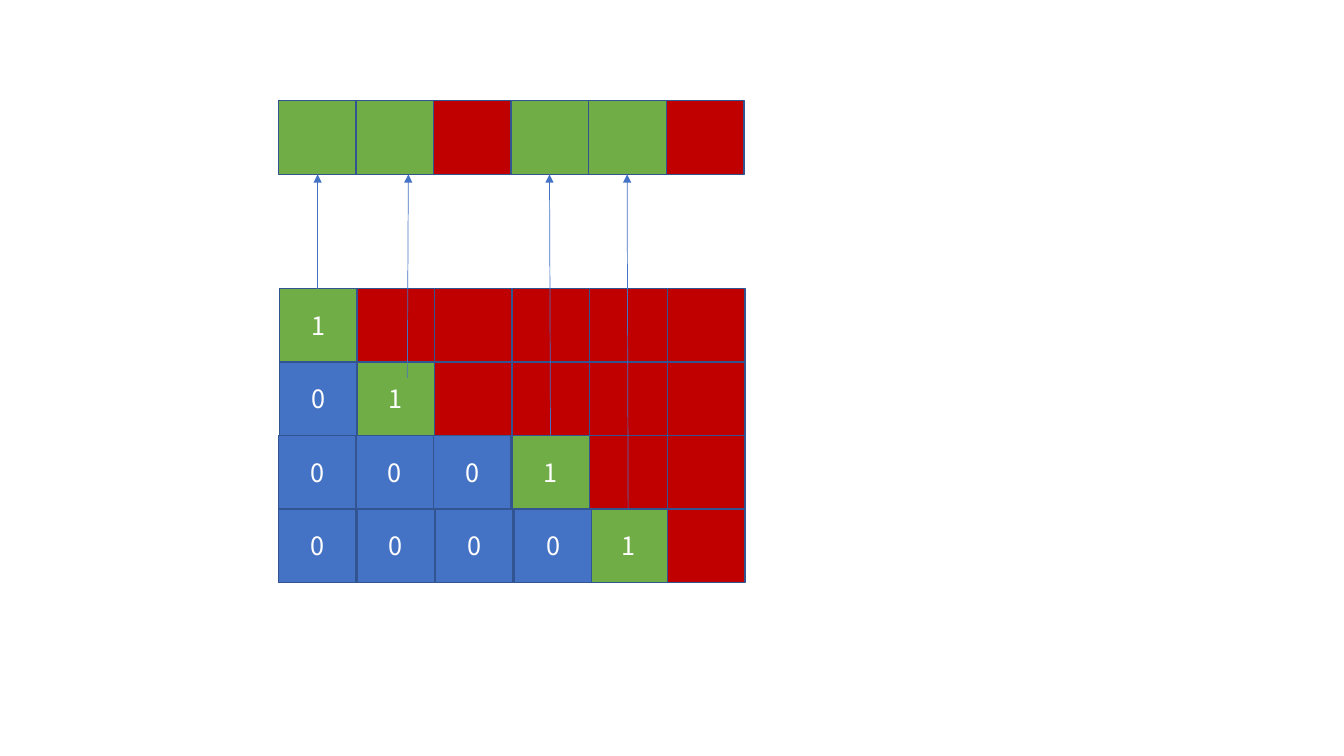
from dataclasses import dataclass

from lxml import etree
from pptx import Presentation
from pptx.dml.color import RGBColor
from pptx.enum.shapes import MSO_CONNECTOR, MSO_SHAPE
from pptx.enum.text import MSO_ANCHOR, PP_ALIGN
from pptx.oxml.ns import qn
from pptx.util import Inches, Pt

RECT = MSO_SHAPE.RECTANGLE
STRAIGHT = MSO_CONNECTOR.STRAIGHT
MIDDLE = MSO_ANCHOR.MIDDLE
CENTER = PP_ALIGN.CENTER


@dataclass(frozen=True)
class Theme:
    """Colours, type and measures of the slide."""
    zero: RGBColor = RGBColor(0x44, 0x72, 0xC4)
    one: RGBColor = RGBColor(0x70, 0xAD, 0x47)
    mask: RGBColor = RGBColor(0xC0, 0x00, 0x00)
    edge: RGBColor = RGBColor(0x32, 0x54, 0x91)
    text: RGBColor = RGBColor(0xFF, 0xFF, 0xFF)
    font: str = "Noto Sans CJK SC"
    size: float = 18
    wide: float = 0.77
    high: float = 0.73


THEME = Theme()
FILLS = {"0": THEME.zero, "1": THEME.one, "g": THEME.one, "x": THEME.mask}
GRID = [("1xxxxx", 2.77, 0.77), ("01xxxx", 2.77, 0.77),
        ("0001xx", 2.76, 0.77), ("00001x", 2.76, 0.78)]
RISES = [(3.15, 2.87, 3.15), (4.04, 3.75, 4.05),
         (5.46, 4.32, 5.45), (6.23, 5.05, 6.22)]


def add_cell(slide, left, top, mark):
    """Draw one cell, with its digit if the mark is one."""
    cell = slide.shapes.add_shape(
        RECT, Inches(left), Inches(top), Inches(THEME.wide), Inches(THEME.high))
    cell.shadow.inherit = False
    cell.fill.solid()
    cell.fill.fore_color.rgb = FILLS[mark]
    cell.line.color.rgb = THEME.edge
    cell.line.width = Pt(1)
    if mark.isdigit():
        frame = cell.text_frame
        frame.vertical_anchor = MIDDLE
        para = frame.paragraphs[0]
        para.alignment = CENTER
        run = para.add_run()
        run.text = mark
        look = {"name": THEME.font, "size": Pt(THEME.size)}
        for key, value in look.items():
            setattr(run.font, key, value)
        run.font.color.rgb = THEME.text


def add_strip(slide, left, top, marks):
    """Draw the row of result cells."""
    for col, mark in enumerate(marks):
        add_cell(slide, left + col * THEME.wide, top, mark)


def add_grid(slide, left, top, rows):
    """Draw the matrix, each row from right to left."""
    for row, (marks, start, step) in enumerate(rows):
        for col, mark in reversed(list(enumerate(marks))):
            x = start + col * step if mark == "0" else left + col * THEME.wide
            add_cell(slide, x, top + row * THEME.high, mark)


def add_rise(slide, start, low, end, high):
    """Draw an arrow from a matrix cell up to the strip."""
    rise = slide.shapes.add_connector(
        STRAIGHT, Inches(start), Inches(low), Inches(end), Inches(high))
    rise.line.color.rgb = THEME.zero
    rise.line.width = Pt(0.5)
    tip = etree.SubElement(rise.line._get_or_add_ln(), qn("a:tailEnd"))
    tip.set("type", "triangle")
    etree.SubElement(rise._element.spPr, qn("a:effectLst"))


def main():
    """Build the slide and save it."""
    deck = Presentation()
    deck.slide_width, deck.slide_height = Inches(13.33), Inches(7.5)
    slide = deck.slides.add_slide(deck.slide_layouts[6])
    add_grid(slide, 2.77, 2.86, GRID)
    add_strip(slide, 2.76, 1, "ggxggx")
    for start, low, end in RISES:
        add_rise(slide, start, low, end, 1 + THEME.high)
    deck.save("out.pptx")


if __name__ == "__main__":
    main()
